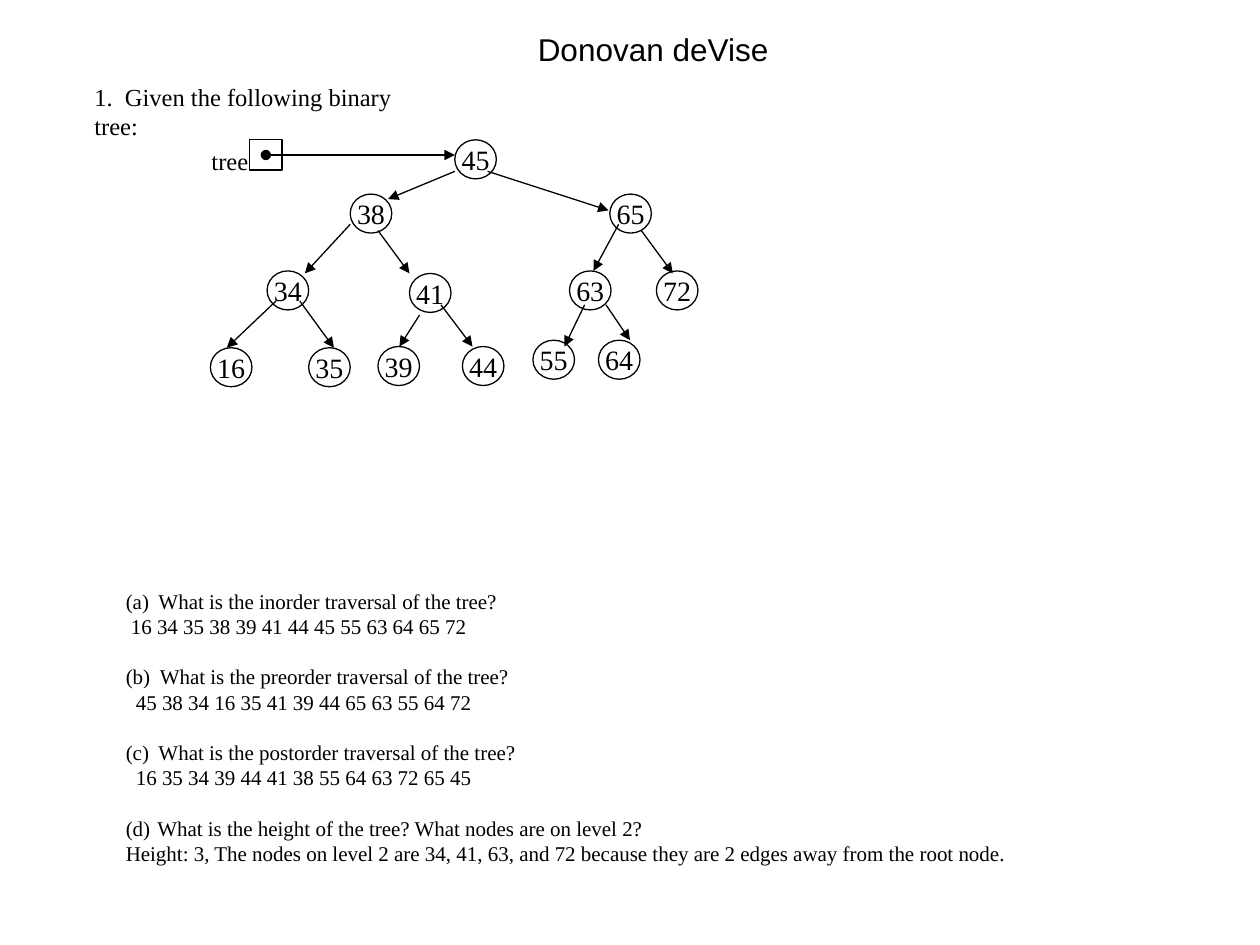
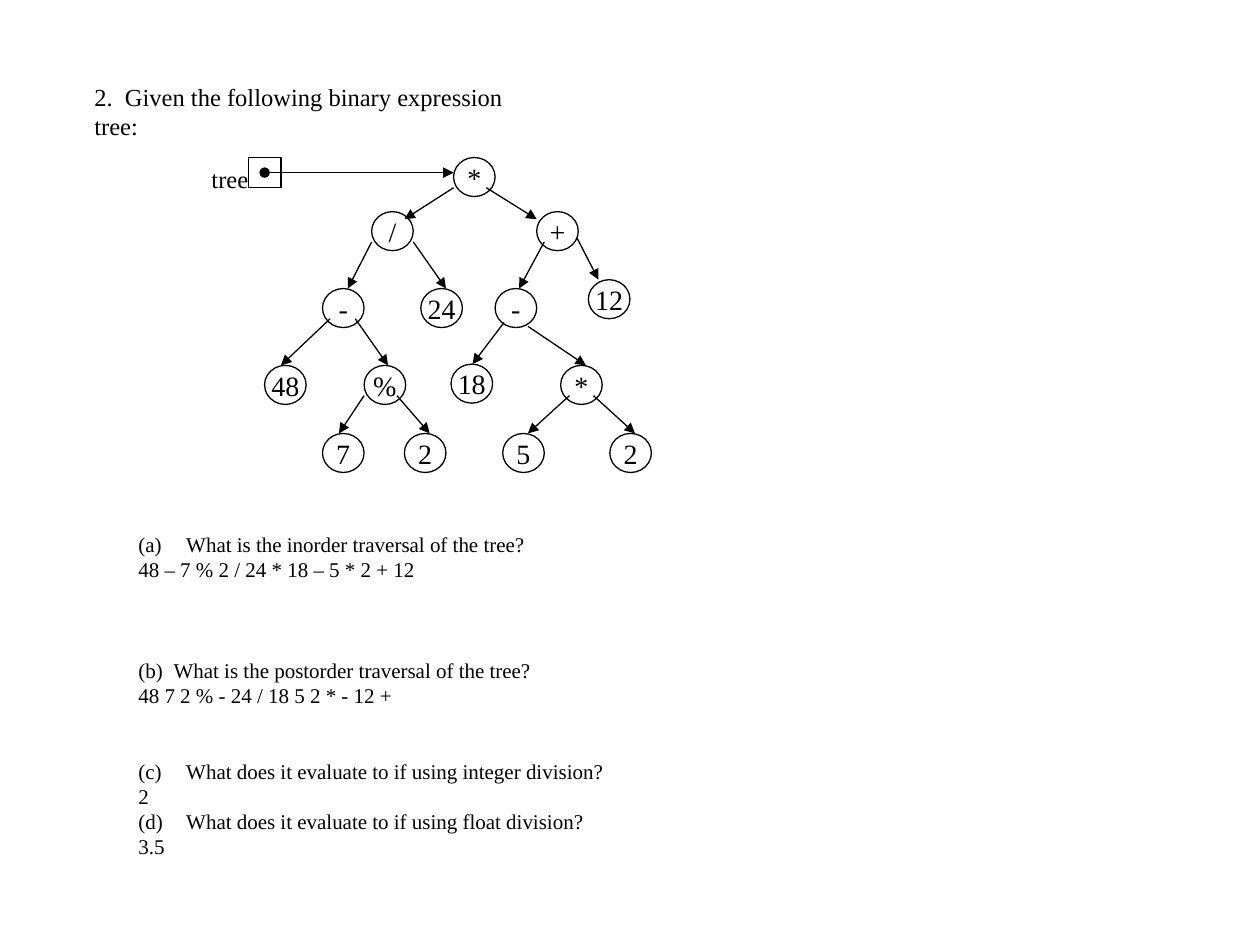
from lxml import etree
from pptx import Presentation, util as u
from pptx.dml.color import RGBColor
from pptx.enum import shapes, text
from pptx.oxml.ns import qn

COLOURS = {"ink": "000000"}
SERIF = "Times New Roman"
SANS = "Arial"
NODE_WIDTH, NODE_HEIGHT = 0.33, 0.31
LINE_PITCH = 14.4

# Nodes are (label, left, top); branches are (from x, from y, to x, to y).
SEARCH_NODES = [
    ("45", 3.61, 1.11),
    ("38", 2.78, 1.54), ("65", 4.84, 1.54),
    ("34", 2.12, 2.15), ("41", 3.25, 2.17), ("63", 4.52, 2.15), ("72", 5.21, 2.15),
    ("16", 1.67, 2.76), ("35", 2.45, 2.76), ("39", 3.0, 2.75), ("44", 3.67, 2.75),
    ("55", 4.23, 2.7), ("64", 4.75, 2.7),
]
SEARCH_BRANCHES = [
    (3.61, 1.36, 3.08, 1.58), (3.87, 1.36, 4.83, 1.67),
    (2.78, 1.78, 2.42, 2.17), (3.0, 1.83, 3.25, 2.17),
    (4.91, 1.78, 4.71, 2.15), (5.09, 1.83, 5.34, 2.17),
    (2.19, 2.39, 1.8, 2.76), (2.38, 2.39, 2.65, 2.76),
    (3.33, 2.5, 3.17, 2.75), (3.5, 2.42, 3.75, 2.75),
    (4.64, 2.42, 4.48, 2.75), (4.81, 2.42, 5.0, 2.7),
]
EXPRESSION_NODES = [
    ("*", 3.6, 1.25),
    ("/", 2.95, 1.68), ("+", 4.26, 1.68),
    ("-", 2.56, 2.29), ("24", 3.34, 2.29), ("-", 3.93, 2.29), ("12", 4.67, 2.22),
    ("48", 2.1, 2.9), ("%", 2.89, 2.9), ("18", 3.58, 2.89), ("*", 4.45, 2.9),
    ("7", 2.56, 3.44), ("2", 3.21, 3.44), ("5", 3.99, 3.44), ("2", 4.84, 3.44),
]
EXPRESSION_BRANCHES = [
    (3.6, 1.49, 3.21, 1.74), (3.86, 1.49, 4.26, 1.74),
    (2.95, 1.92, 2.76, 2.29), (3.28, 1.92, 3.54, 2.29),
    (4.32, 1.92, 4.12, 2.29), (4.58, 1.89, 4.75, 2.22),
    (2.62, 2.53, 2.23, 2.9), (2.82, 2.53, 3.08, 2.9),
    (4.0, 2.56, 3.75, 2.89), (4.19, 2.59, 4.65, 2.9),
    (2.89, 3.14, 2.69, 3.44), (3.15, 3.14, 3.41, 3.44),
    (4.52, 3.14, 4.19, 3.44), (4.71, 3.14, 5.04, 3.44),
]
# Questions are (question, label width, answer, answer indent, lines skipped before).
SEARCH_QUESTIONS = [
    ("What is the inorder traversal of the tree?", 0.26,
     "16 34 35 38 39 41 44 45 55 63 64 65 72", 0.04, 0),
    ("What is the preorder traversal of the tree?", 0.27,
     "45 38 34 16 35 41 39 44 65 63 55 64 72", 0.08, 1),
    ("What is the postorder traversal of the tree?", 0.26,
     "16 35 34 39 44 41 38 55 64 63 72 65 45", 0.08, 1),
    ("What is the height of the tree? What nodes are on level 2?", 0.25,
     "Height: 3, The nodes on level 2 are 34, 41, 63, and 72 because "
     "they are 2 edges away from the root node.", 0, 1),
]
EXPRESSION_QUESTIONS = [
    ("What is the inorder traversal of the tree?", 0.38,
     "48 – 7 % 2 / 24 * 18 – 5 * 2 + 12", 0, 0),
    ("What is the postorder traversal of the tree?", 0.28,
     "48 7 2 % - 24 / 18 5 2 * - 12 +", 0, 3),
    ("What does it evaluate to if using integer division?", 0.38, "2", 0, 2),
    ("What does it evaluate to if using float division?", 0.38, "3.5", 0, 0),
]


def ink():
    return RGBColor.from_string(COLOURS["ink"])


def style_text(paragraph, size, font_name=SERIF):
    paragraph.font.name = font_name
    paragraph.font.size = u.Pt(size)
    paragraph.font.color.rgb = ink()


def style_line(line):
    line.color.rgb = ink()
    line.width = u.Pt(0.75)


def add_text(slide, left, top, width, height, words, size, font_name=SERIF, wrap=True):
    box = slide.shapes.add_textbox(*map(u.Inches, (left, top, width, height)))
    box.text_frame.word_wrap = wrap
    paragraph = box.text_frame.paragraphs[0]
    paragraph.text = words
    style_text(paragraph, size, font_name)


def add_outline(slide, kind, left, top, width, height):
    shape = slide.shapes.add_shape(kind, *map(u.Inches, (left, top, width, height)))
    shape.shadow.inherit = False
    shape.fill.background()
    style_line(shape.line)
    return shape


def add_node(slide, label, left, top):
    node = add_outline(slide, shapes.MSO_SHAPE.OVAL, left, top, NODE_WIDTH, NODE_HEIGHT)
    frame = node.text_frame
    frame.word_wrap = False
    frame.vertical_anchor = text.MSO_ANCHOR.MIDDLE
    paragraph = frame.paragraphs[0]
    paragraph.text = label
    paragraph.alignment = text.PP_ALIGN.CENTER
    style_text(paragraph, 16)


def add_arrow(slide, x1, y1, x2, y2, dot_at_start=False):
    arrow = slide.shapes.add_connector(
        shapes.MSO_CONNECTOR.STRAIGHT, *map(u.Inches, (x1, y1, x2, y2)))
    style_line(arrow.line)
    line = arrow.line._get_or_add_ln()
    if dot_at_start:
        etree.SubElement(line, qn("a:headEnd"), type="oval")
    etree.SubElement(line, qn("a:tailEnd"), type="triangle")
    etree.SubElement(arrow._element.spPr, qn("a:effectLst"))


def add_tree(slide, nodes, branches):
    """Draw the nodes and branches, with the pointer box that leads to the first node."""
    root_left, root_top = nodes[0][1:]
    add_outline(slide, shapes.MSO_SHAPE.RECTANGLE, root_left - 1.63, root_top, 0.26, 0.24)
    add_text(slide, 1.58, root_top, 0.49, 0.33, "tree", 14, wrap=False)
    add_arrow(slide, root_left - 1.5, root_top + 0.12, root_left, root_top + 0.12, True)
    for node in nodes:
        add_node(slide, *node)
    for branch in branches:
        add_arrow(slide, *branch)


def set_indent(paragraph, margin, first_line=0):
    properties = paragraph._p.get_or_add_pPr()
    properties.set("marL", str(u.Inches(margin)))
    properties.set("indent", str(u.Inches(first_line)))
    return properties


def add_questions(slide, left, top, width, height, questions):
    """List lettered questions, each followed by its answer."""
    box = slide.shapes.add_textbox(*map(u.Inches, (left, top, width, height)))
    frame = box.text_frame
    frame.word_wrap = True
    for number, (question, label_width, answer, indent, skipped) in enumerate(questions, 1):
        paragraph = frame.paragraphs[0] if number == 1 else frame.add_paragraph()
        paragraph.text = question
        properties = set_indent(paragraph, label_width, -label_width)
        etree.SubElement(properties, qn("a:buAutoNum"),
                         type="alphaLcParenBoth", startAt=str(number))
        paragraph.space_before = u.Pt(skipped * LINE_PITCH)
        style_text(paragraph, 12)
        paragraph = frame.add_paragraph()
        paragraph.text = answer
        set_indent(paragraph, indent)
        style_text(paragraph, 12)


def add_problem(presentation, heading, heading_width, nodes, branches, questions, place):
    slide = presentation.slides.add_slide(presentation.slide_layouts[6])
    add_text(slide, 0.65, 0.6, heading_width, 0.33, heading, 14)
    add_tree(slide, nodes, branches)
    add_questions(slide, *place, questions)
    return slide


def main():
    presentation = Presentation()
    presentation.slide_width = u.Inches(10)
    presentation.slide_height = u.Inches(7.5)
    slide = add_problem(presentation, "1.  Given the following binary tree:", 2.85,
                        SEARCH_NODES, SEARCH_BRANCHES,
                        SEARCH_QUESTIONS, (0.9, 4.62, 8.6, 2.52))
    add_text(slide, 4.17, 0.19, 5.1, 0.4, "Donovan deVise", 18, SANS)
    add_problem(presentation, "2.  Given the following binary expression tree:", 3.75,
                EXPRESSION_NODES, EXPRESSION_BRANCHES,
                EXPRESSION_QUESTIONS, (1, 4.17, 3.94, 3.13))
    presentation.save("out.pptx")


if __name__ == "__main__":
    main()
